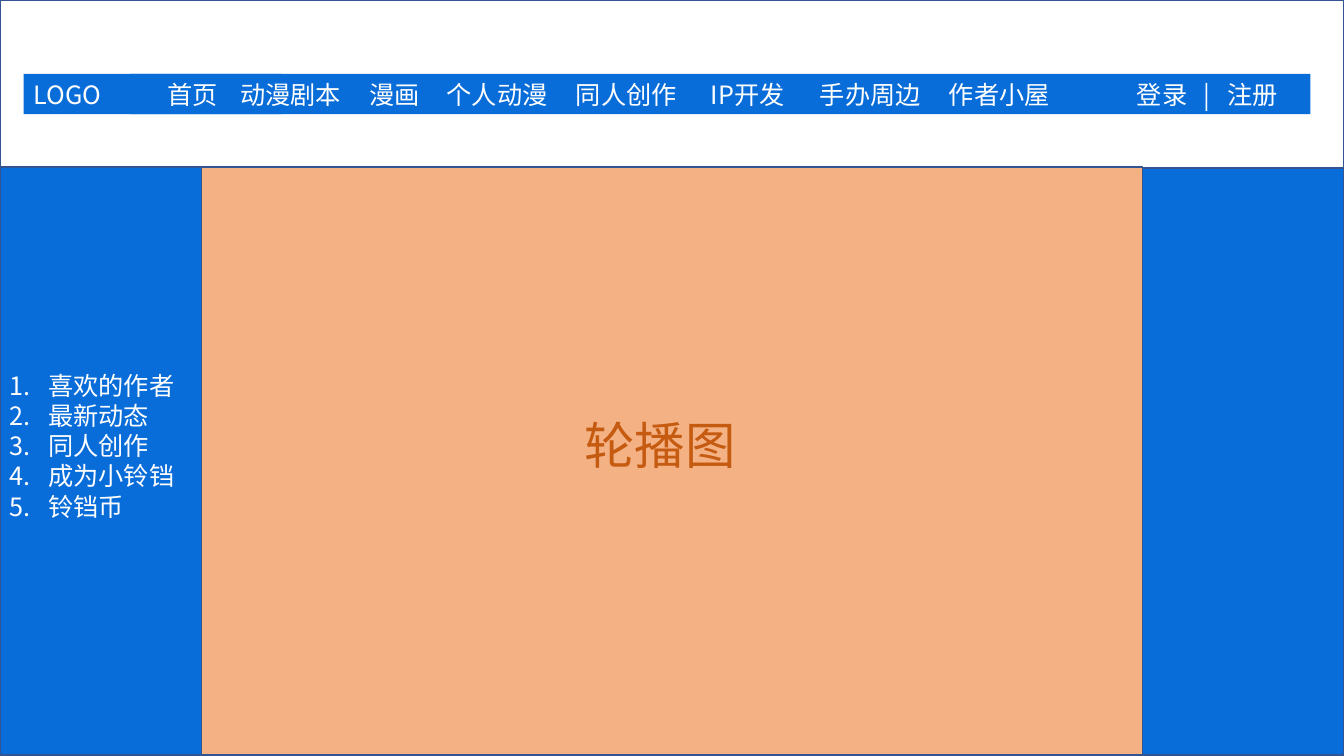
from lxml import etree
from pptx import Presentation
from pptx import util as u
from pptx.dml.color import RGBColor
from pptx.enum import shapes, text
from pptx.oxml.ns import qn

WIDTH, HEIGHT = u.Inches(13.33), u.Inches(7.5)
COL, ROW = WIDTH / 20, HEIGHT / 9
FONT = "Noto Sans CJK SC"
BLUE, EDGE, WHITE = "096DD9", "325491", "FFFFFF"
PEACH, RUST = "F4B183", "C55A11"

NAV_ITEMS = ["首页", "动漫剧本", "漫画", "个人动漫", "同人创作", "IP开发", "手办周边", "作者小屋"]
NAV_STOPS = [0.27, 0.99, 2.27, 3.04, 4.32, 5.66, 6.74, 8.02]
SIDE_ITEMS = ["喜欢的作者", "最新动态", "同人创作", "成为小铃铛", "铃铛币"]


def color(value):
    return RGBColor.from_string(value)


def grid(left, top, width, height):
    """Turn columns and rows into lengths."""
    return [round(n) for n in (left * COL, top * ROW, width * COL, height * ROW)]


def add_block(parent, place, fill=None, line=None):
    s = parent.add_shape(shapes.MSO_SHAPE.RECTANGLE, *grid(*place))
    s.shadow.inherit = False
    if fill:
        s.fill.solid()
        s.fill.fore_color.rgb = color(fill)
    else:
        s.fill.background()
    if line:
        s.line.color.rgb = color(line)
        s.line.width = u.Pt(1)
    else:
        s.line.fill.background()
    return s


def set_text(s, lines, size=18, ink=WHITE, anchor=text.MSO_ANCHOR.TOP):
    tf = s.text_frame
    tf.text = "\n".join(lines)
    tf.word_wrap = True
    tf.vertical_anchor = anchor
    for p in tf.paragraphs:
        p.alignment = text.PP_ALIGN.LEFT
        for r in p.runs:
            r.font.size = u.Pt(size)
            r.font.name = FONT
            r.font.color.rgb = color(ink)
            etree.SubElement(r._r.get_or_add_rPr(), qn("a:ea"), typeface=FONT)
    return tf


def set_tabs(p, stops):
    tabs = etree.SubElement(p._p.get_or_add_pPr(), qn("a:tabLst"))
    for stop in stops:
        etree.SubElement(tabs, qn("a:tab"), pos=str(u.Inches(stop)), algn="l")


def number_lines(tf):
    indent = u.Inches(0.38)
    for p in tf.paragraphs:
        pPr = p._p.get_or_add_pPr()
        pPr.set("marL", str(indent))
        pPr.set("indent", str(-indent))
        etree.SubElement(pPr, qn("a:buFont"), typeface="+mj-lt")
        etree.SubElement(pPr, qn("a:buAutoNum"), type="arabicPeriod")


def add_nav(slide):
    bar = slide.shapes.add_group_shape().shapes
    parts = [
        (0.35, 3.84, "LOGO", []),
        (1.94, 14.83, "\t" + "\t".join(NAV_ITEMS), NAV_STOPS),
        (16.77, 2.73, "登录\t|\t注册", [0.66, 0.9]),
    ]
    for left, width, label, stops in parts:
        s = add_block(bar, (left, 0.88, width, 0.48), BLUE)
        tf = set_text(s, [label])
        if stops:
            set_tabs(tf.paragraphs[0], stops)


def add_sidebar(slide):
    s = add_block(slide.shapes, (0, 1.99, 3, 6.99), BLUE, EDGE)
    tf = set_text(s, SIDE_ITEMS, anchor=text.MSO_ANCHOR.MIDDLE)
    tf.margin_bottom = u.Inches(0.35)
    number_lines(tf)


def add_carousel(slide):
    add_block(slide.shapes, (3, 1.99, 14, 6.99), PEACH, EDGE)
    label = slide.shapes.add_textbox(*grid(8.55, 4.87, 2.61, 0.85))
    set_text(label, ["轮播图"], 36, RUST)


def main():
    prs = Presentation()
    prs.slide_width, prs.slide_height = WIDTH, HEIGHT
    slide = prs.slides.add_slide(prs.slide_layouts[6])

    # Header frame and navigation bar
    add_block(slide.shapes, (0, 0, 20, 2.01), line=EDGE)
    add_nav(slide)

    # Body frame, side panels and carousel
    add_block(slide.shapes, (0, 2.01, 20, 6.99), line=EDGE)
    add_sidebar(slide)
    add_block(slide.shapes, (17, 2, 3, 6.99), BLUE, EDGE)
    add_carousel(slide)

    prs.save("out.pptx")


if __name__ == "__main__":
    main()
